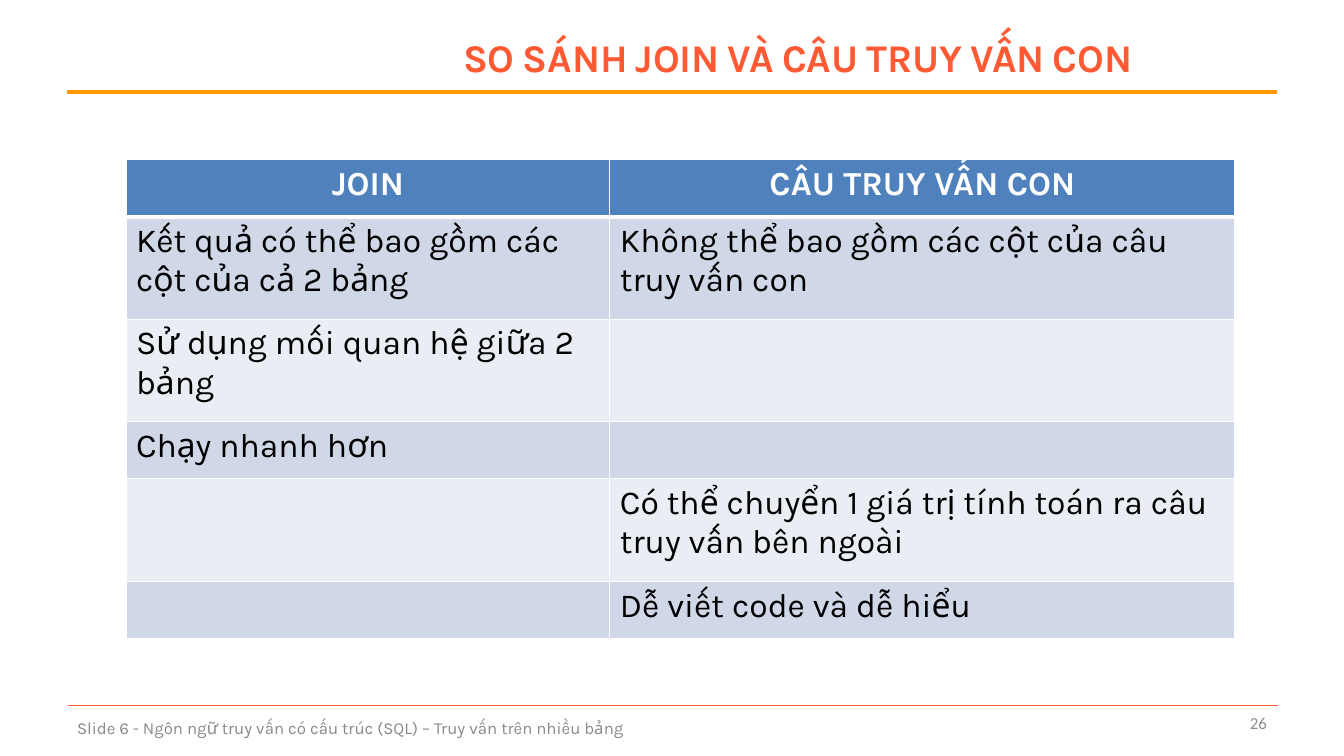
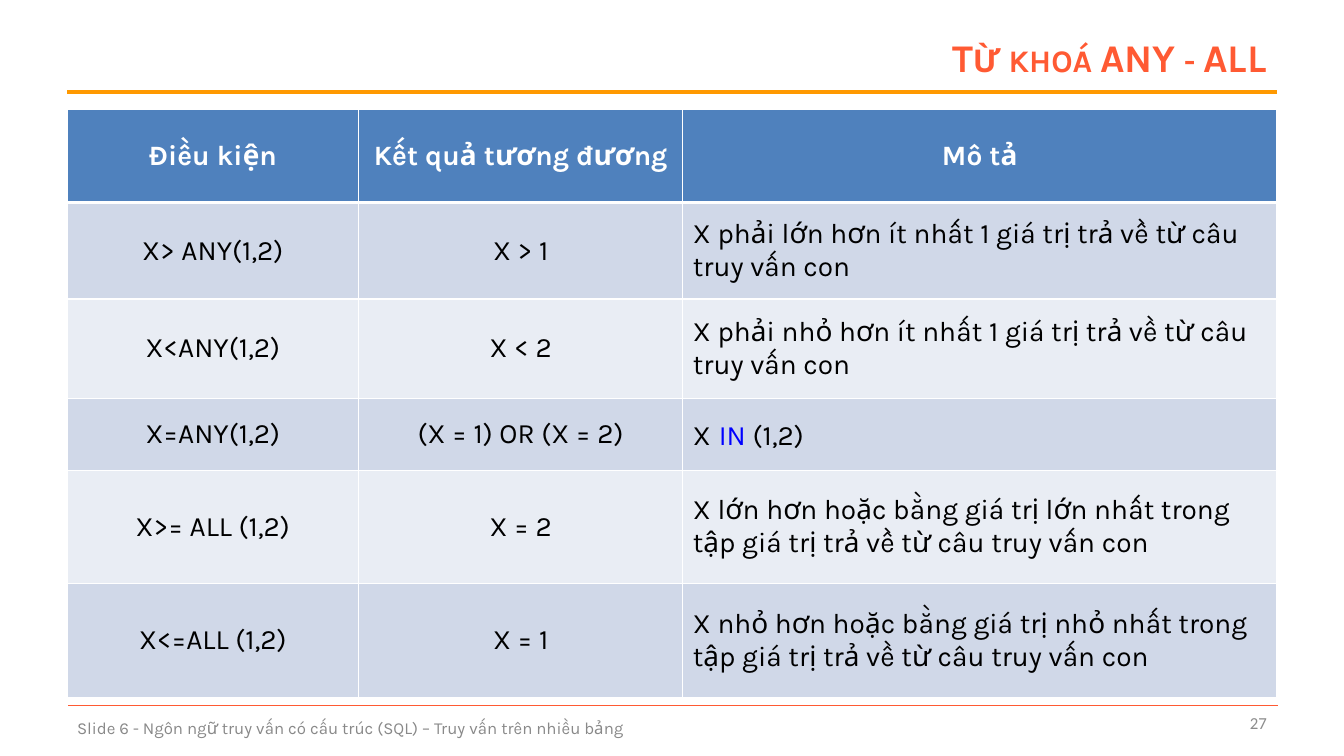
from lxml.etree import SubElement
from pptx import Presentation
from pptx.dml.color import RGBColor
from pptx.enum.dml import MSO_LINE
from pptx.enum.shapes import MSO_CONNECTOR
from pptx.enum.text import MSO_ANCHOR, MSO_AUTO_SIZE, PP_ALIGN
from pptx.oxml.ns import qn
from pptx.util import Emu, Pt

COLORS = {
    "title": "FF5A33", "rule": "FF9900", "footer": "898989", "number": "8C8C8C",
    "header": "4F81BD", "odd": "D0D8E8", "even": "E9EDF4",
    "white": "FFFFFF", "text": "000000", "keyword": "0000FF",
}
FONT = "Karla"
FOOTER = "Slide 6 - Ngôn ngữ truy vấn có cấu trúc (SQL) – Truy vấn trên nhiều bảng"
COLUMNS, ROWS = 160, 90
LEFT, RIGHT = 8, 152

prs = Presentation()
prs.slide_width, prs.slide_height = Emu(12192000), Emu(6858000)
unit = prs.slide_width / COLUMNS


def grid(*cells):
    return [Emu(round(cell * unit)) for cell in cells]


def add_run(paragraph, text, size, color, bold=False, font=FONT):
    run = paragraph.add_run()
    run.text = text
    run.font.name, run.font.size, run.font.bold = font, Pt(size), bold
    run.font.color.rgb = RGBColor.from_string(COLORS[color])
    return run


topics = [
    {
        "title": "SO SÁNH JOIN VÀ CÂU TRUY VẤN CON",
        "title_box": (43, 3.6, 93, 6.4),
        "number": "26",
        "origin": (15, 19),
        "widths": [57.6, 74.4],
        "heights": [6.8, 12.2, 12.2, 6.8, 12.2, 6.8],
        "size": 24,
        "anchor": MSO_ANCHOR.TOP,
        "centered": 0,
        "cells": [
            ["JOIN", "CÂU TRUY VẤN CON"],
            ["Kết quả có thể bao gồm các cột của cả 2 bảng",
             "Không thể bao gồm các cột của câu truy vấn con"],
            ["Sử dụng mối quan hệ giữa 2 bảng", ""],
            ["Chạy nhanh hơn", ""],
            ["", "Có thể chuyển 1 giá trị tính toán ra câu truy vấn bên ngoài"],
            ["", "Dễ viết code và dễ hiểu"],
        ],
    },
    {
        "title": "Từ khoá ANY - ALL",
        "title_box": (36, 3.6, 116, 6.4),
        "number": "27",
        "origin": (LEFT, 13),
        "widths": [34.7, 38.6, 70.7],
        "heights": [11.1, 11.5, 11.8, 8.6, 13.5, 13.5],
        "size": 20,
        "anchor": MSO_ANCHOR.MIDDLE,
        "centered": 2,
        "cells": [
            ["Điều kiện", "Kết quả tương đương", "Mô tả"],
            ["X> ANY(1,2)", "X > 1",
             "X phải lớn hơn ít nhất 1 giá trị trả về từ câu truy vấn con"],
            ["X<ANY(1,2)", "X < 2",
             "X phải nhỏ hơn ít nhất 1 giá trị trả về từ câu truy vấn con"],
            ["X=ANY(1,2)", "(X = 1) OR (X = 2)",
             [("X", 20, "text"), (" ", 24, "keyword"),
              ("IN", 20, "keyword"), (" (1,2)", 20, "text")]],
            ["X>= ALL (1,2)", "X = 2",
             "X lớn hơn hoặc bằng giá trị lớn nhất trong tập giá trị trả về từ câu truy vấn con"],
            ["X<=ALL (1,2)", "X = 1",
             "X nhỏ hơn hoặc bằng giá trị nhỏ nhất trong tập giá trị trả về từ câu truy vấn con"],
        ],
    },
]

for topic in topics:
    slide = prs.slides.add_slide(prs.slide_layouts[5])

    for start, end, y, color, width, dash in [
        (LEFT + 0.1, RIGHT + 0.1, 84, "title", 0.25, MSO_LINE.ROUND_DOT),
        (LEFT, RIGHT, 11, "rule", 3, MSO_LINE.SOLID),
    ]:
        rule = slide.shapes.add_connector(MSO_CONNECTOR.STRAIGHT, *grid(start, y, end, y))
        rule.line.color.rgb = RGBColor.from_string(COLORS[color])
        rule.line.width = Pt(width)
        rule.line.dash_style = dash
        SubElement(rule._element.spPr, qn("a:effectLst"))

    for box, text, color, font, align in [
        ((LEFT, 84.2, 90.7, 4.8), FOOTER, "footer", FONT, PP_ALIGN.LEFT),
        ((114.7, 84, 37.3, 4.2), topic["number"], "number", "Calibri", PP_ALIGN.RIGHT),
    ]:
        frame = slide.shapes.add_textbox(*grid(*box)).text_frame
        frame.word_wrap = True
        frame.vertical_anchor = MSO_ANCHOR.MIDDLE
        frame.paragraphs[0].alignment = align
        add_run(frame.paragraphs[0], text, 12, color, font=font)

    title = slide.shapes.title
    title.left, title.top, title.width, title.height = grid(*topic["title_box"])
    title.text_frame.auto_size = MSO_AUTO_SIZE.NONE
    title.text_frame.vertical_anchor = MSO_ANCHOR.MIDDLE
    heading = title.text_frame.paragraphs[0]
    heading.alignment = PP_ALIGN.RIGHT
    heading_run = add_run(heading, topic["title"], 28, "title", bold=True)
    heading_run._r.get_or_add_rPr().set("cap", "small")

    widths, heights = topic["widths"], topic["heights"]
    comparison = slide.shapes.add_table(
        len(heights), len(widths), *grid(*topic["origin"], sum(widths), sum(heights))
    ).table
    for column, width in zip(comparison.columns, grid(*widths)):
        column.width = width
    for row, height in zip(comparison.rows, grid(*heights)):
        row.height = height

    for r, entries in enumerate(topic["cells"]):
        is_header = r == 0
        band = "header" if is_header else "odd" if r % 2 else "even"
        for c, entry in enumerate(entries):
            cell = comparison.cell(r, c)
            cell.vertical_anchor = topic["anchor"]
            properties = cell._tc.get_or_add_tcPr()
            for side in ("lnL", "lnR", "lnT", "lnB"):
                thick = (is_header and side == "lnB") or (r == 1 and side == "lnT")
                border = SubElement(properties, qn(f"a:{side}"), w=str(Pt(3 if thick else 1)))
                SubElement(SubElement(border, qn("a:solidFill")), qn("a:srgbClr"), val=COLORS["white"])
            cell.fill.solid()
            cell.fill.fore_color.rgb = RGBColor.from_string(COLORS[band])

            paragraph = cell.text_frame.paragraphs[0]
            centered = is_header or c < topic["centered"]
            paragraph.alignment = PP_ALIGN.CENTER if centered else PP_ALIGN.LEFT
            if isinstance(entry, str):
                entry = [(entry, topic["size"], "white" if is_header else "text")] if entry else []
            for text, size, color in entry:
                add_run(paragraph, text, size, color, bold=is_header)

prs.save("out.pptx")
